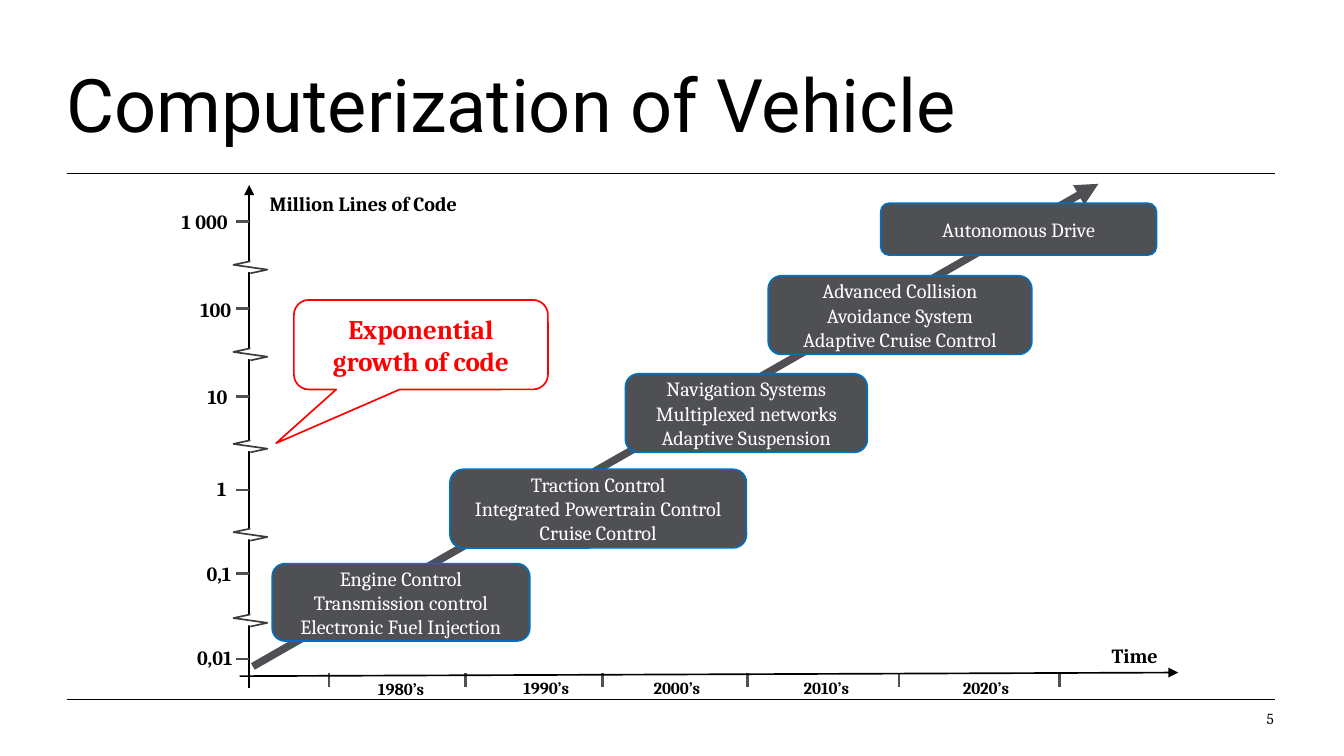
from dataclasses import dataclass

from lxml.etree import SubElement
from pptx import Presentation
from pptx.dml.color import RGBColor
from pptx.enum.shapes import MSO_CONNECTOR, MSO_SHAPE
from pptx.enum.text import MSO_ANCHOR, MSO_AUTO_SIZE, PP_ALIGN
from pptx.oxml.ns import qn
from pptx.shapes.autoshape import Shape
from pptx.shapes.connector import Connector
from pptx.slide import Slide
from pptx.text.text import TextFrame
from pptx.util import Emu, Pt

EMU_PER_PX = 9144
BLACK = RGBColor(0x00, 0x00, 0x00)
WHITE = RGBColor(0xFF, 0xFF, 0xFF)
GREY = RGBColor(0x4E, 0x50, 0x54)
BREAK_GREY = RGBColor(0x3A, 0x3B, 0x3E)
BLUE = RGBColor(0x00, 0x70, 0xC0)
RED = RGBColor(0xFF, 0x00, 0x00)
BODY_FONT = "Cambria"
TITLE_FONT = "Roboto"
AXIS_X = 206
TICK_LENGTH = 11
BREAK_TOPS = (216, 288, 364, 437, 508)
DECADE_TICKS = (272, 385, 498, 618, 743, 876)


@dataclass(frozen=True)
class Frame:
    left: int
    top: int
    width: int
    height: int

    def emu(self) -> tuple[Emu, Emu, Emu, Emu]:
        return px(self.left), px(self.top), px(self.width), px(self.height)


@dataclass(frozen=True)
class Label:
    text: str
    frame: Frame
    size: float = 12
    align: PP_ALIGN = PP_ALIGN.LEFT
    inset: tuple[int, int] = (10, 5)
    fill: RGBColor | None = None
    wrap: bool = True
    bold: bool = True


@dataclass(frozen=True)
class ScaleMark:
    text: str
    left: int
    top: int
    width: int
    tick: int


@dataclass(frozen=True)
class Era:
    text: str
    frame: Frame


SCALE = (
    ScaleMark("1 000", 134, 168, 64, 183),
    ScaleMark("100", 151, 241, 50, 255),
    ScaleMark("10", 158, 313, 40, 328),
    ScaleMark("1", 167, 389, 30, 405),
    ScaleMark("0,1", 157, 459, 44, 474),
    ScaleMark("0,01", 148, 529, 54, 545),
)

DECADES = (
    Era("1980’s", Frame(296, 557, 71, 25)),
    Era("1990’s", Frame(416, 556, 71, 25)),
    Era("2000’s", Frame(524, 556, 71, 25)),
    Era("2010’s", Frame(644, 556, 78, 25)),
    Era("2020’s", Frame(776, 556, 78, 25)),
)

ERAS = (
    Era("Engine Control\nTransmission control\nElectronic Fuel Injection", Frame(225, 466, 213, 64)),
    Era("Traction Control\nIntegrated Powertrain Control\nCruise Control", Frame(372, 388, 245, 65)),
    Era("Navigation Systems\nMultiplexed networks\nAdaptive Suspension", Frame(517, 309, 200, 65)),
    Era("Advanced Collision Avoidance System\nAdaptive Cruise Control", Frame(635, 228, 218, 65)),
    Era("Autonomous Drive", Frame(728, 168, 228, 43)),
)


def px(length: int) -> Emu:
    return Emu(length * EMU_PER_PX)


def format_text(frame: TextFrame, text: str, size: float, color: RGBColor, align: PP_ALIGN,
                bold: bool = False, font_name: str = BODY_FONT) -> None:
    frame.text = text
    for paragraph in frame.paragraphs:
        paragraph.alignment = align
        for run in paragraph.runs:
            run.font.name = font_name
            run.font.size = Pt(size)
            run.font.bold = bold
            run.font.color.rgb = color


def set_insets(frame: TextFrame, horizontal: int, vertical: int) -> None:
    frame.margin_left = frame.margin_right = px(horizontal)
    frame.margin_top = frame.margin_bottom = px(vertical)


def add_label(page: Slide, label: Label) -> None:
    box = page.shapes.add_textbox(*label.frame.emu())
    if label.fill is not None:
        box.fill.solid()
        box.fill.fore_color.rgb = label.fill
    frame = box.text_frame
    frame.word_wrap = label.wrap
    set_insets(frame, *label.inset)
    format_text(frame, label.text, label.size, BLACK, label.align, label.bold)


def add_line(page: Slide, start: tuple[int, int], end: tuple[int, int], color: RGBColor,
             weight: float, arrow: bool = False) -> Connector:
    line = page.shapes.add_connector(
        MSO_CONNECTOR.STRAIGHT, px(start[0]), px(start[1]), px(end[0]), px(end[1]))
    line.line.color.rgb = color
    line.line.width = Pt(weight)
    if arrow:
        SubElement(line.get_or_add_ln(), qn("a:tailEnd"), type="triangle")
    SubElement(line.element.spPr, qn("a:effectLst"))
    return line


def add_panel(page: Slide, kind: MSO_SHAPE, frame: Frame, fill: RGBColor | None,
              outline: RGBColor | None) -> Shape:
    panel = page.shapes.add_shape(kind, *frame.emu())
    panel.shadow.inherit = False
    if fill is None:
        panel.fill.background()
    else:
        panel.fill.solid()
        panel.fill.fore_color.rgb = fill
    if outline is None:
        panel.line.fill.background()
    else:
        panel.line.color.rgb = outline
        panel.line.width = Pt(1)
    panel.text_frame.word_wrap = True
    panel.text_frame.vertical_anchor = MSO_ANCHOR.MIDDLE
    return panel


def add_axis_break(page: Slide, top: int) -> None:
    add_panel(page, MSO_SHAPE.RECTANGLE, Frame(202, top, 10, 9), WHITE, None)
    builder = page.shapes.build_freeform(207, top + 10, EMU_PER_PX)
    builder.add_line_segments([(221, top + 7), (193, top + 3), (207, top)], close=False)
    zigzag = builder.convert_to_shape()
    zigzag.shadow.inherit = False
    zigzag.fill.background()
    zigzag.line.color.rgb = BREAK_GREY
    zigzag.line.width = Pt(1)


def add_title(page: Slide, text: str) -> None:
    title = page.shapes.title
    title.left, title.top, title.width, title.height = Frame(55, 52, 881, 71).emu()
    frame = title.text_frame
    format_text(frame, text, 44, BLACK, PP_ALIGN.LEFT, font_name=TITLE_FONT)
    frame.auto_size = MSO_AUTO_SIZE.NONE
    frame.word_wrap = False
    frame.vertical_anchor = MSO_ANCHOR.BOTTOM
    set_insets(frame, 0, 0)
    frame.paragraphs[0].line_spacing = 0.9


def main() -> None:
    deck = Presentation()
    deck.slide_width, deck.slide_height = px(1111), px(625)
    page = deck.slides.add_slide(deck.slide_layouts[5])
    add_title(page, "Computerization of Vehicle")

    for rule_y in (143, 578):
        add_line(page, (55, rule_y), (1054, rule_y), BLACK, 0.5)
    add_line(page, (209, 551), (908, 152), GREY, 4.5, arrow=True)

    for mark in SCALE:
        add_label(page, Label(mark.text, Frame(mark.left, mark.top, mark.width, 30),
                              align=PP_ALIGN.RIGHT, fill=WHITE, wrap=False))
    for tick_x in DECADE_TICKS:
        add_line(page, (tick_x, 556), (tick_x, 568), GREY, 1.5)
    for decade in DECADES:
        add_label(page, Label(decade.text, decade.frame, 10, PP_ALIGN.CENTER, (4, 4)))
    add_label(page, Label("Million Lines of Code", Frame(213, 153, 223, 30)))
    add_label(page, Label("Time", Frame(886, 528, 104, 28), 12, PP_ALIGN.CENTER, (4, 4)))

    add_line(page, (198, 559), (974, 556), BLACK, 1, arrow=True)
    add_line(page, (AXIS_X, 569), (AXIS_X, 153), BLACK, 1, arrow=True)
    for mark in SCALE:
        add_line(page, (AXIS_X, mark.tick), (AXIS_X - TICK_LENGTH, mark.tick), GREY, 1.5)
    for top in BREAK_TOPS:
        add_axis_break(page, top)

    for era in ERAS:
        panel = add_panel(page, MSO_SHAPE.ROUNDED_RECTANGLE, era.frame, GREY, BLUE)
        format_text(panel.text_frame, era.text, 12, WHITE, PP_ALIGN.CENTER)

    callout = add_panel(page, MSO_SHAPE.ROUNDED_RECTANGULAR_CALLOUT, Frame(243, 248, 210, 74), None, RED)
    callout.adjustments[0], callout.adjustments[1] = -0.57, 1.1
    format_text(callout.text_frame, "Exponential growth of code", 16, RED, PP_ALIGN.CENTER, bold=True)

    add_label(page, Label("5", Frame(896, 586, 157, 15), 9.1, PP_ALIGN.RIGHT, (0, 0), wrap=False, bold=False))
    deck.save("out.pptx")


if __name__ == "__main__":
    main()
